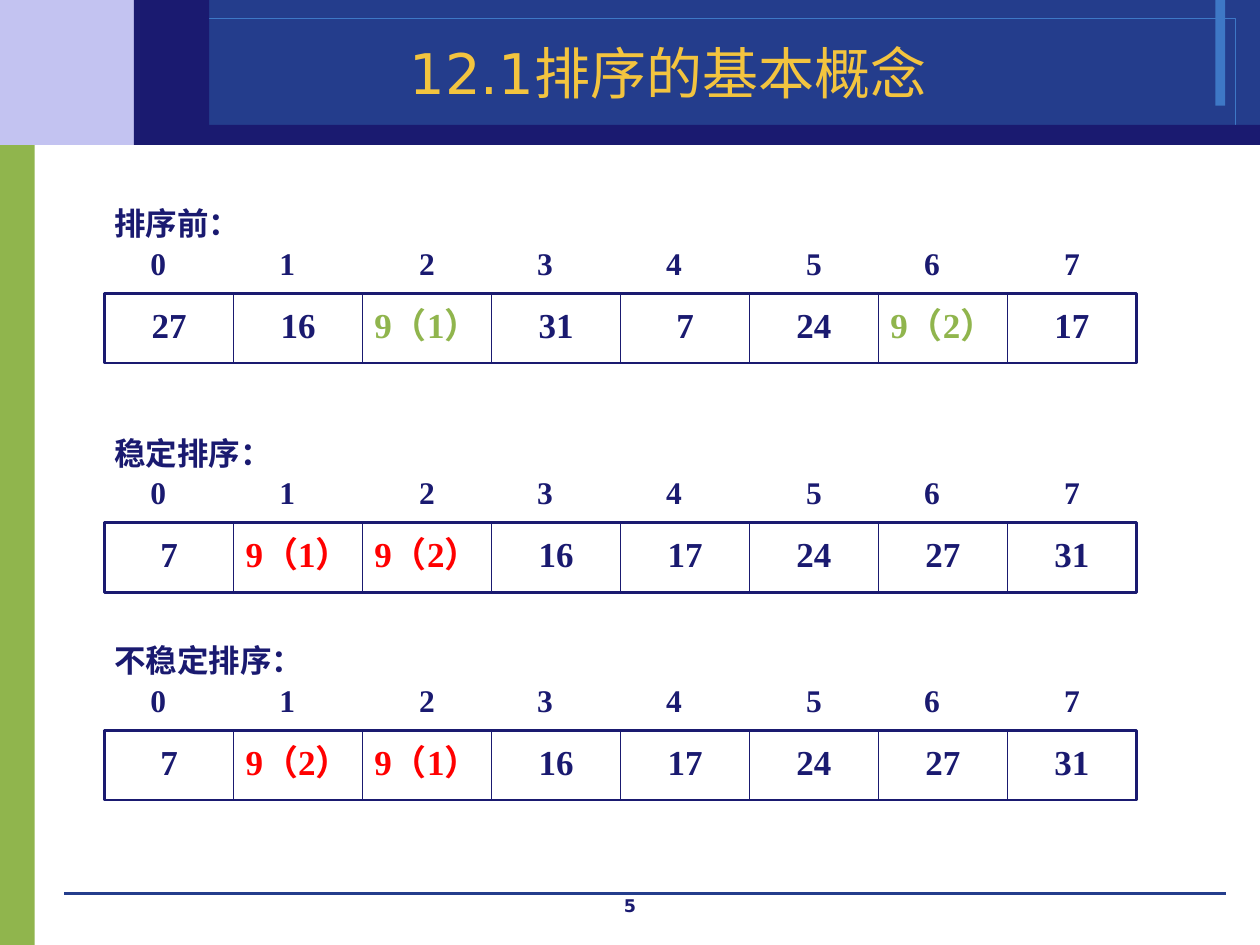
from dataclasses import dataclass

from lxml import etree
from pptx import Presentation
from pptx import util as u
from pptx.dml.color import RGBColor
from pptx.enum import shapes, text
from pptx.oxml.ns import qn


@dataclass(frozen=True)
class Theme:
    navy: str = "1A1A70"
    blue: str = "243D8C"
    sky: str = "3E78C6"
    lilac: str = "C3C3F1"
    green: str = "90B54D"
    gold: str = "F3C43F"
    red: str = "FF0000"
    heading_font: str = "DejaVu Sans"
    body_font: str = "Times New Roman"
    title_size: int = 32
    value_size: int = 20
    label_size: int = 18
    number_size: int = 10


@dataclass(frozen=True)
class Box:
    left: float
    top: float
    width: float
    height: float

    def lengths(self) -> list[u.Length]:
        return [u.Cm(n) for n in (self.left, self.top, self.width, self.height)]


@dataclass(frozen=True)
class ArrayRow:
    label: str
    label_width: float
    top: float
    values: tuple[str, ...]
    mark: str  # colour of the equal keys


THEME = Theme()
COLUMNS = 8
CELL_WIDTH, CELL_HEIGHT = 2.6, 1.4
ARRAY_LEFT = 2.11
CELL_INSET = 0.38
SHIFTED_INDEXES = (2, 5, 7)
WIDE_COLUMN = 6

ROWS = (
    ArrayRow(" 排序前：", 4.19, 5.92,
             ("27", "16", "9（1）", "31", "7", "24", "9（2）", "17"), THEME.green),
    ArrayRow(" 稳定排序：", 4.8, 10.54,
             ("7", "9（1）", "9（2）", "16", "17", "24", "27", "31"), THEME.red),
    ArrayRow(" 不稳定排序：", 4.8, 14.73,
             ("7", "9（2）", "9（1）", "16", "17", "24", "27", "31"), THEME.red),
)


def add_box(container, box: Box, fill: str = "", line: str = "", width: float = 0):
    shape = container.add_shape(shapes.MSO_SHAPE.RECTANGLE, *box.lengths())
    shape.shadow.inherit = False
    if fill:
        shape.fill.solid()
        shape.fill.fore_color.rgb = RGBColor.from_string(fill)
    else:
        shape.fill.background()
    if line:
        shape.line.color.rgb = RGBColor.from_string(line)
        shape.line.width = u.Pt(width)
    else:
        shape.line.fill.background()
    return shape


def add_line(container, start: tuple, end: tuple, color: str, width: float):
    line = container.add_connector(
        shapes.MSO_CONNECTOR.STRAIGHT, *[u.Cm(n) for n in (*start, *end)])
    line.line.color.rgb = RGBColor.from_string(color)
    line.line.width = u.Pt(width)
    etree.SubElement(line._element.spPr, qn("a:effectLst"))
    return line


def write(shape, words: str, size: int, color: str, font: str, bold: bool = True,
          align=text.PP_ALIGN.CENTER, **frame_format) -> None:
    frame = shape.text_frame
    for name, value in {"word_wrap": True, **frame_format}.items():
        setattr(frame, name, value)
    paragraph = frame.paragraphs[0]
    paragraph.alignment = align
    run = paragraph.add_run()
    run.text = words
    for name, value in {"name": font, "size": u.Pt(size), "bold": bold}.items():
        setattr(run.font, name, value)
    run.font.color.rgb = RGBColor.from_string(color)


def add_array_text(container, box: Box, words: str, size: int, color: str = THEME.navy,
                   side: float = 0, align=text.PP_ALIGN.CENTER) -> None:
    write(container.add_textbox(*box.lengths()), words, size, color, THEME.body_font,
          align=align, margin_left=u.Cm(side), margin_right=u.Cm(side),
          margin_top=0, margin_bottom=0, auto_size=text.MSO_AUTO_SIZE.SHAPE_TO_FIT_TEXT)


def add_array(slide, row: ArrayRow) -> None:
    container = slide.shapes.add_group_shape().shapes
    frame = add_box(container, Box(ARRAY_LEFT, row.top, COLUMNS * CELL_WIDTH, CELL_HEIGHT),
                    line=THEME.navy, width=1.5)
    # Dividers
    for column in range(1, COLUMNS):
        x = ARRAY_LEFT + column * CELL_WIDTH
        divider = add_line(container, (x, row.top), (x, row.top + CELL_HEIGHT),
                           THEME.navy, 0.75)
        if column == COLUMNS // 2:
            divider.begin_connect(frame, 0)
            divider.end_connect(frame, 2)
    # Values and the indexes above them
    for column, value in enumerate(row.values):
        left = ARRAY_LEFT + column * CELL_WIDTH
        marked = "（" in value
        inset = 0 if marked or column == WIDE_COLUMN else CELL_INSET
        add_array_text(container,
                       Box(left + inset, row.top + 0.19, CELL_WIDTH - 2 * inset, 0.85),
                       value, THEME.value_size, row.mark if marked else THEME.navy)
        shift = 0.6 if column in SHIFTED_INDEXES else CELL_INSET
        add_array_text(container, Box(left + shift, row.top - 1, 1.4, 0.76),
                       str(column), THEME.label_size, side=0.25)
    add_array_text(container, Box(1.91, row.top - 1.8, row.label_width, 0.76), row.label,
                   THEME.label_size, side=0.25, align=text.PP_ALIGN.LEFT)


def add_background(slide) -> None:
    container = slide.shapes
    for box, fill in (
        (Box(0, 2.71, 0.7, 16.34), THEME.green),
        (Box(0, 0, 3.89, 2.92), THEME.lilac),
        (Box(3.89, 0, 21.51, 2.92), THEME.blue),
        (Box(24.5, 0, 0.2, 2.13), THEME.sky),
    ):
        add_box(container, box, fill)
    add_box(container, Box(3.02, 0.37, 21.89, 2.16), line=THEME.sky)
    add_line(container, (1.3, 18.01), (24.71, 18.01), THEME.blue, 0)
    for box in (Box(3.3, 2.52, 22.1, 0.4), Box(2.7, 0, 1.52, 2.92)):
        add_box(container, box, THEME.navy)


def main() -> None:
    presentation = Presentation()
    presentation.slide_width, presentation.slide_height = u.Cm(25.4), u.Cm(19.05)
    slide = presentation.slides.add_slide(presentation.slide_layouts[5])
    add_background(slide)

    # Page number
    number = slide.shapes.add_textbox(*Box(9.74, 17.91, 5.92, 0.64).lengths())
    write(number, "5", THEME.number_size, THEME.navy, THEME.heading_font)

    # Title, brought in front of the band
    title = slide.shapes.title
    title.left, title.top, title.width, title.height = Box(3.02, 0.66, 20.9, 1.57).lengths()
    write(title, "12.1排序的基本概念", THEME.title_size, THEME.gold, THEME.heading_font,
          bold=False, vertical_anchor=text.MSO_ANCHOR.MIDDLE,
          auto_size=text.MSO_AUTO_SIZE.NONE)
    slide.shapes._spTree.append(title._element)

    # The array before sorting, and after each kind of sort
    for row in ROWS:
        add_array(slide, row)
    presentation.save("out.pptx")


if __name__ == "__main__":
    main()
